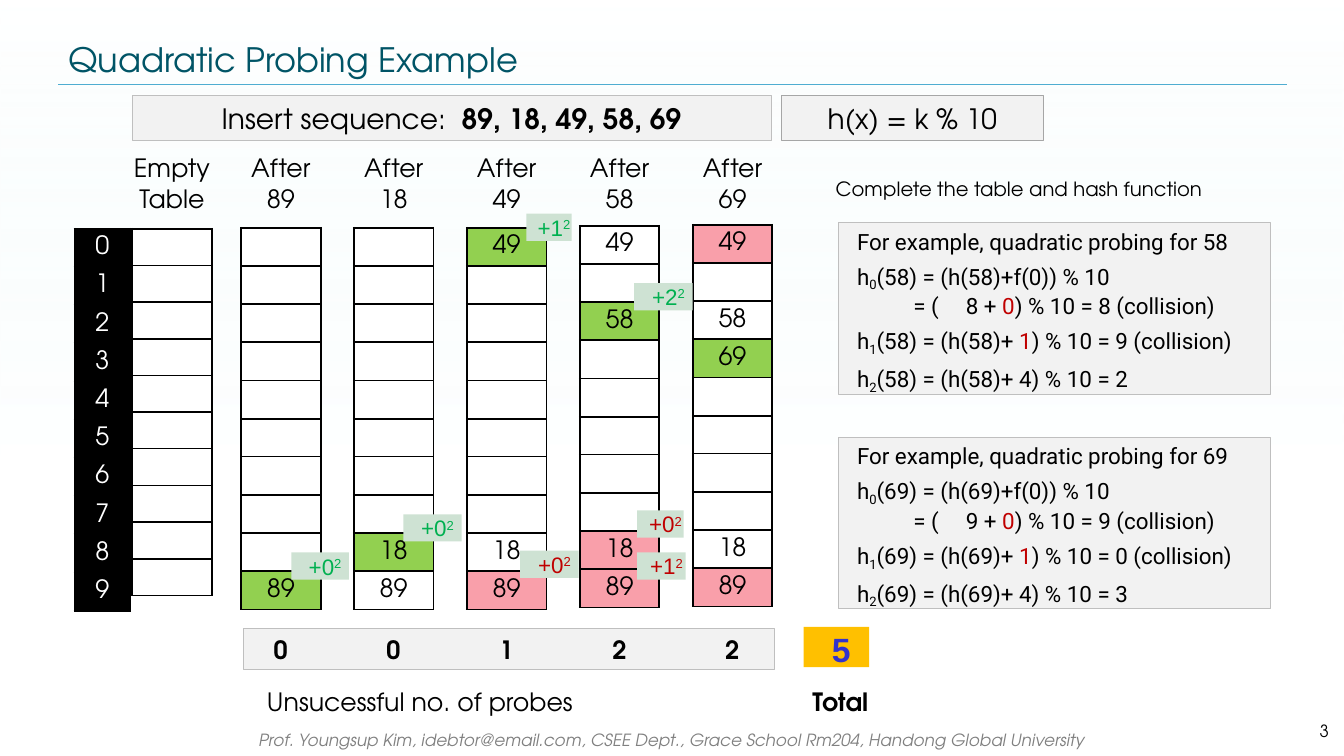
"""Build the quadratic probing example slide."""
from lxml.etree import SubElement
from pptx import Presentation
from pptx.dml.color import RGBColor
from pptx.enum.shapes import MSO_CONNECTOR as Connector, MSO_SHAPE as Shape
from pptx.enum.text import MSO_ANCHOR as Anchor, PP_ALIGN as Align
from pptx.oxml.ns import qn
from pptx.util import Emu, Inches, Pt

THEME = dict(
    title="005466", ink="000000", white="FFFFFF", gray="808080", rule="4FADD1",
    panel="F2F2F2", edge="BFBFBF", dark_edge="A6A6A6", tint="D9F3F4",
    hit="92D050", miss="F99FAA", badge="CEE2D3", good="00B050", bad="C00000",
    total="FFC000", total_ink="3333CC",
    main="TeX Gyre Adventor", code="Roboto", label="Arial",
    heading=24, large=20, body=18, formula=16, note=14, small=12)

TITLE = "Quadratic Probing Example"
FOOTER = ("Prof. Youngsup Kim, idebtor@email.com, CSEE Dept., "
          "Grace School Rm204, Handong Global University")
SEQUENCE = [("Insert sequence:  ", {}), ("89, 18, 49, 58, 69", {"bold": True})]
STEPS = [
    ("89", 2.26, {9: ("89", "hit")}),
    ("18", 2.26, {8: ("18", "hit"), 9: ("89", "white")}),
    ("49", 2.26, {0: ("49", "hit"), 8: ("18", "white"), 9: ("89", "miss")}),
    ("58", 2.24, {0: ("49", "white"), 2: ("58", "hit"),
                  8: ("18", "miss"), 9: ("89", "miss")}),
    ("69", 2.23, {0: ("49", "miss"), 2: ("58", "white"), 3: ("69", "hit"),
                  8: ("18", "white"), 9: ("89", "miss")}),
]
PROBES = ["0", "0", "1", "2", "2"]
BADGES = [
    (0, 8.5, "+0", "good", 0.5, 0.57), (1, 7.5, "+0", "good", 0.49, 0.58),
    (2, -0.37, "+1", "good", 0.59, 0.45), (3, 1.5, "+2", "good", 0.54, 0.58),
    (2, 8.45, "+0", "bad", 0.53, 0.58), (3, 7.45, "+0", "bad", 0.57, 0.46),
    (3, 8.55, "+1", "bad", 0.57, 0.48),
]
EXAMPLES = [("58", "8", "9 (collision)", "2", 2.21), ("69", "9", "0 (collision)", "3", 4.34)]

WIDTH, HEIGHT = 13.33, 7.5
SLOTS, CELL_WIDTH, ROW, EMPTY_ROW = 10, 0.79, 0.379, 0.364
FIRST_STEP, PITCH, EMPTY_LEFT = 2.39, 1.12, 1.31
HEADER_TOP, TABLE_TOP = 1.46, 2.27
PANEL_LEFT, PANEL_WIDTH = 2.42, 5.26

presentation = Presentation()
presentation.slide_width, presentation.slide_height = Inches(WIDTH), Inches(HEIGHT)
slide = presentation.slides.add_slide(presentation.slide_layouts[6])


def color(name):
    return RGBColor.from_string(THEME[name])


def write(frame, paragraphs, size="body", font="main", ink="ink", bold=False, italic=False,
          align=Align.CENTER, anchor=Anchor.MIDDLE, insets=(0.1, 0.05, 0.1, 0.05),
          before=0, tabs=(), wrap=True):
    """Fill a text frame; a paragraph is a string or a list of (text, overrides)."""
    frame.word_wrap, frame.vertical_anchor = wrap, anchor
    (frame.margin_left, frame.margin_top,
     frame.margin_right, frame.margin_bottom) = map(Inches, insets)
    for number, pieces in enumerate(paragraphs):
        paragraph = frame.add_paragraph() if number else frame.paragraphs[0]
        paragraph.alignment = align
        paragraph.space_before = Pt(before if number else 0)
        if tabs:
            stops = SubElement(paragraph._p.get_or_add_pPr(), qn("a:tabLst"))
            for position, kind in tabs:
                SubElement(stops, qn("a:tab"), pos=str(Inches(position)), algn=kind)
        for text, style in [(pieces, {})] if isinstance(pieces, str) else pieces:
            if text == "\n":
                paragraph.add_line_break()
                continue
            run = paragraph.add_run()
            run.text = text
            run.font.name, run.font.size = THEME[font], Pt(THEME[size])
            run.font.bold, run.font.italic = style.get("bold", bold), italic
            run.font.color.rgb = color(style.get("ink", ink))
            if "baseline" in style:
                run._r.get_or_add_rPr().set("baseline", str(style["baseline"] * 1000))


def add_text(box, paragraphs, **style):
    write(slide.shapes.add_textbox(*map(Inches, box)).text_frame, paragraphs, **style)


def add_box(box, fill, paragraphs=(), edge=None, **style):
    shape = slide.shapes.add_shape(Shape.RECTANGLE, *map(Inches, box))
    shape.shadow.inherit = False
    shape.fill.solid()
    shape.fill.fore_color.rgb = color(fill)
    if edge:
        shape.line.color.rgb, shape.line.width = color(edge), Pt(0.75)
    else:
        shape.line.fill.background()
    write(shape.text_frame, paragraphs, **style)
    return shape


def add_column(left, top, width, row_height, cells, ink="ink"):
    table = slide.shapes.add_table(SLOTS, 1, *map(Inches, (
        left, top, width, SLOTS * row_height))).table
    table.first_row = table.horz_banding = False
    for slot in range(SLOTS):
        table.rows[slot].height = Inches(row_height)
        cell = table.cell(slot, 0)
        thin = {"lnB": slot in (0, 5), "lnT": slot in (1, 6)}
        for side in ("lnL", "lnR", "lnT", "lnB"):
            line = SubElement(cell._tc.get_or_add_tcPr(), qn("a:" + side),
                              w=str(Pt(1 if thin.get(side) else 1.5)))
            SubElement(SubElement(line, qn("a:solidFill")), qn("a:srgbClr"), val=THEME["ink"])
        text, fill = cells.get(slot, ("", "white"))
        cell.fill.solid()
        cell.fill.fore_color.rgb = color(fill)
        cell.vertical_anchor = Anchor.MIDDLE
        cell.margin_left = cell.margin_right = Emu(0)
        cell.margin_top = cell.margin_bottom = Inches(0.02)
        if text:
            write(cell.text_frame, [text], ink=ink, insets=(0, 0.02, 0, 0.02))


def formulas(key, start, second, third):
    red = {"ink": "bad"}

    def head(index):
        return [("h", {}), (index, {"baseline": -21}), (f"({key}) = (h({key})+", {})]
    return [
        f"For example, quadratic probing for {key}",
        head("0") + [("f(0)) % 10", {}), ("\n", {}), (f"\t= (\t{start} + ", {}),
                     ("0", red), (f") % 10 = {start} (collision)", {})],
        head("1") + [(" 1", red), (f") % 10 = {second}", {})],
        head("2") + [(f" 4) % 10 = {third}", {})],
    ]


backdrop = add_box((0, 0, WIDTH, HEIGHT), "white")
backdrop.fill.gradient()
backdrop.fill.gradient_angle = 270
for stop, name, position, opacity in zip(
        backdrop.fill.gradient_stops, ("tint", "white"), (0, 0.61), (0, 40000)):
    stop.color.rgb, stop.position = color(name), position
    SubElement(stop._gs[0], qn("a:alpha"), val=str(opacity))

add_text((1.98, 7.19, 9.37, 0.3), [FOOTER], size="small", ink="gray", italic=True)
rule = slide.shapes.add_connector(Connector.STRAIGHT, *map(Inches, (0.58, 0.84, 12.76, 0.84)))
rule.line.color.rgb, rule.line.width = color("rule"), Pt(0.25)
SubElement(rule._element.spPr, qn("a:effectLst"))
add_text((0.58, 0.34, 12.18, 0.5), [TITLE], size="heading", ink="title", align=Align.LEFT)
add_text((12.11, 7.05, 1.17, 0.4), ["3"], size="small", align=Align.RIGHT)

add_box((1.31, 0.95, 6.34, 0.44), "panel", [SEQUENCE], edge="edge", size="large")
add_box((7.75, 0.95, 2.6, 0.44), "panel", ["h(x) = k % 10"], edge="dark_edge", size="large")

add_column(0.74, TABLE_TOP, 0.55, ROW,
           {slot: (str(slot), "ink") for slot in range(SLOTS)}, ink="white")
add_column(EMPTY_LEFT, TABLE_TOP, CELL_WIDTH, EMPTY_ROW, {})
add_text((EMPTY_LEFT - 0.09, HEADER_TOP, 0.97, 0.71), ["Empty", "Table"], wrap=False)
lefts = [FIRST_STEP + PITCH * step for step in range(len(STEPS))]
for left, (key, top, cells) in zip(lefts, STEPS):
    add_column(left, top, CELL_WIDTH, ROW, cells)
    add_text((left, HEADER_TOP, CELL_WIDTH, 0.71), ["After", key], wrap=False)

for step, row, label, ink, shift, width in BADGES:
    add_box((lefts[step] + shift, STEPS[step][1] + row * ROW, width, 0.27), "badge",
            [[(label, {}), ("2", {"baseline": 30})]], size="formula", font="label",
            ink=ink, insets=(0.1, 0, 0, 0), wrap=False)

centers = [(left + CELL_WIDTH / 2 - PANEL_LEFT - 0.1, "ctr") for left in lefts]
add_box((PANEL_LEFT, 6.24, PANEL_WIDTH, 0.4), "panel", ["\t" + "\t".join(PROBES)],
        edge="edge", bold=True, align=Align.LEFT, tabs=centers)
add_box((7.97, 6.22, 0.65, 0.4), "total", ["5"], size="heading", font="label",
        ink="total_ink", bold=True, insets=(0.1, 0.04, 0, 0))
add_text((2.4, 6.76, 3.38, 0.4), ["Unsucessful no. of probes"], align=Align.RIGHT)
add_text((7.95, 6.76, 0.77, 0.4), ["Total"], bold=True, wrap=False)

add_text((8.19, 1.7, 3.87, 0.34), ["Complete the table and hash function"],
         size="note", align=Align.LEFT, wrap=False)
for key, start, second, third, top in EXAMPLES:
    add_box((8.32, top, 4.28, 1.7), "panel", formulas(key, start, second, third), edge="edge",
            size="formula", font="code", align=Align.LEFT, anchor=Anchor.TOP, before=5.8,
            insets=(0.18, 0.05, 0.1, 0.05), tabs=((0.56, "l"), (1.08, "l")))

presentation.save("out.pptx")
